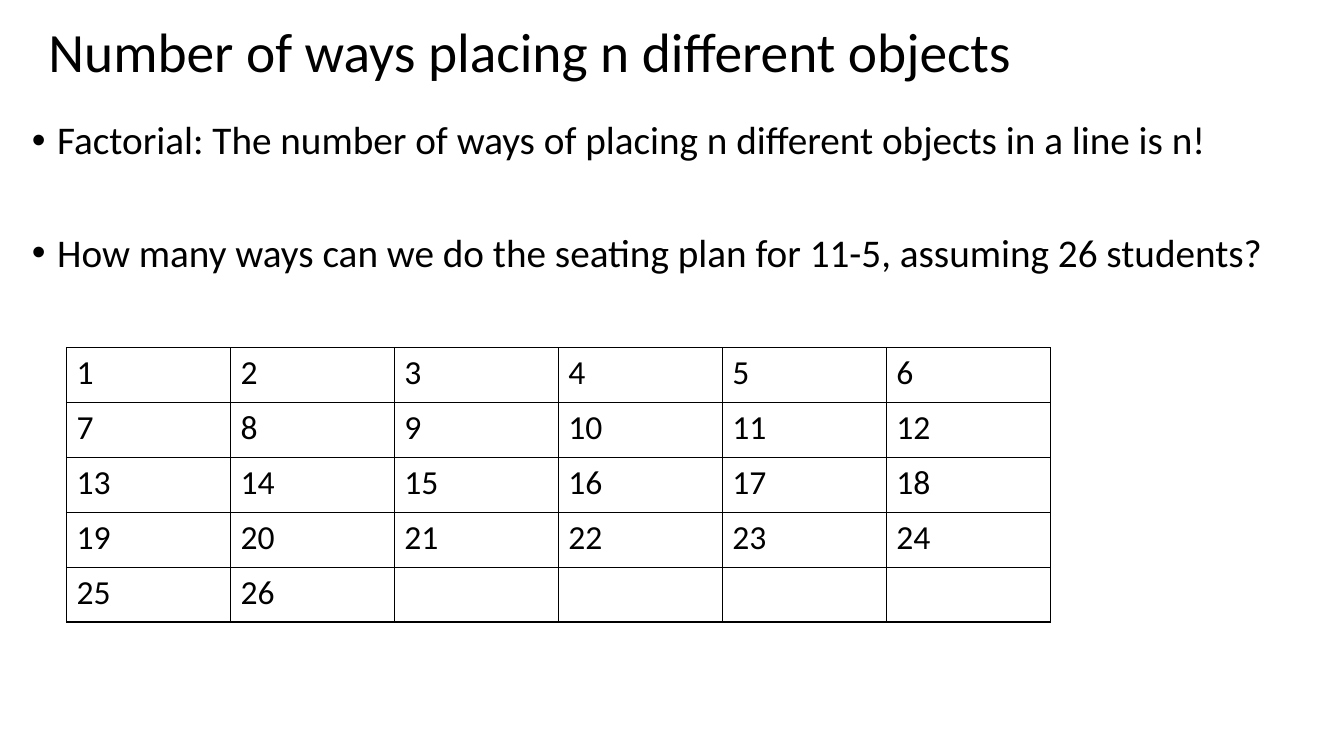
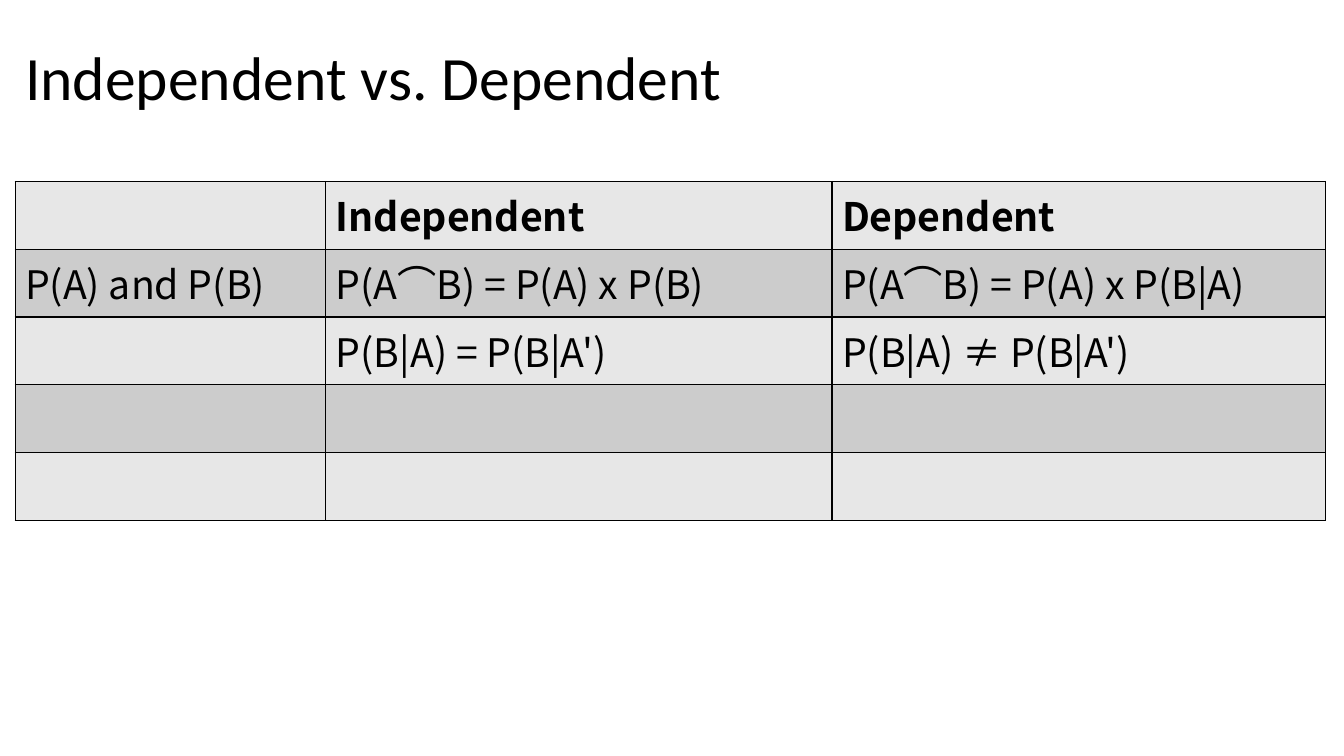
from pptx import Presentation
from pptx.dml.color import RGBColor
from pptx.enum import text
from pptx.oxml import ns, xmlchemy
from pptx.util import Pt

BLACK = RGBColor(0x00, 0x00, 0x00)
LIGHT_GREY = RGBColor(0xE7, 0xE7, 0xE7)
MID_GREY = RGBColor(0xCC, 0xCC, 0xCC)
BODY_FONT = "Calibri"
FORMULA_FONT = "Noto Sans CJK SC"
TITLE_ONLY = 5
LINE_SPACING = 0.9


def add_element(parent, tag, **attributes):
    element = xmlchemy.OxmlElement(tag)
    for name, value in attributes.items():
        element.set(name, str(value))
    parent.append(element)
    return element


def style_paragraph(paragraph, size, font_name=BODY_FONT, bold=False):
    font = paragraph.font
    font.name, font.size, font.bold = font_name, Pt(size), bold
    font.color.rgb = BLACK
    # Symbols such as ⌒ and ≠ take the East Asian font
    defaults = paragraph._p.pPr.find(ns.qn("a:defRPr"))
    add_element(defaults, "a:ea", typeface=font_name)


def add_titled_slide(presentation, title, box, size):
    slide = presentation.slides.add_slide(presentation.slide_layouts[TITLE_ONLY])
    shape = slide.shapes.title
    shape.left, shape.top, shape.width, shape.height = map(Pt, box)
    frame = shape.text_frame
    frame.text = title
    frame.auto_size = text.MSO_AUTO_SIZE.NONE
    frame.vertical_anchor = text.MSO_ANCHOR.MIDDLE
    paragraph = frame.paragraphs[0]
    paragraph.alignment = text.PP_ALIGN.LEFT
    paragraph.line_spacing = LINE_SPACING
    style_paragraph(paragraph, size)
    return slide


def add_bullets(slide, lines, box, size, gap, indent=18):
    frame = slide.shapes.add_textbox(*map(Pt, box)).text_frame
    frame.word_wrap = True
    for index, line in enumerate(lines):
        paragraph = frame.add_paragraph() if index else frame.paragraphs[0]
        paragraph.text = line
        paragraph.line_spacing = LINE_SPACING
        if index:
            paragraph.space_before = Pt(gap)
        properties = paragraph._p.get_or_add_pPr()
        properties.set("marL", str(Pt(indent)))
        properties.set("indent", str(-Pt(indent)))
        add_element(properties, "a:buFont", typeface="Arial")
        add_element(properties, "a:buChar", char="•")
        style_paragraph(paragraph, size)


def add_cell_borders(cell):
    properties = cell._tc.get_or_add_tcPr()
    for side in ("a:lnL", "a:lnR", "a:lnT", "a:lnB"):
        line = add_element(properties, side, w=Pt(1))
        fill = add_element(line, "a:solidFill")
        add_element(fill, "a:srgbClr", val=BLACK)


def add_grid(slide, rows, left, top, column_widths, row_height, size,
             font_name=BODY_FONT, bands=(), bold_header=False):
    """Draw a bordered table; row fills cycle through bands, if any."""
    table = slide.shapes.add_table(
        len(rows), len(column_widths), Pt(left), Pt(top),
        Pt(sum(column_widths)), Pt(row_height * len(rows))).table
    table.first_row = table.horz_banding = False
    for column, width in zip(table.columns, column_widths):
        column.width = Pt(width)
    for row_index, values in enumerate(rows):
        table.rows[row_index].height = Pt(row_height)
        for column_index, value in enumerate(values):
            cell = table.cell(row_index, column_index)
            cell.text = value
            add_cell_borders(cell)
            if bands:
                cell.fill.solid()
                cell.fill.fore_color.rgb = bands[row_index % len(bands)]
            else:
                cell.fill.background()
            style_paragraph(cell.text_frame.paragraphs[0], size, font_name,
                            bold_header and row_index == 0)


def build_factorial_slide(presentation):
    slide = add_titled_slide(
        presentation, "Number of ways placing n different objects",
        (27.4, 23, 860, 32.4), 39.6)
    add_bullets(slide, [
        "Factorial: The number of ways of placing n different objects in a line is n!",
        "How many ways can we do the seating plan for 11-5, assuming 26 students?",
    ], (15.8, 82.8, 928, 342.7), size=28, gap=50)

    # Seating plan: 26 numbered seats, six to a row
    students, row_count, seats_per_row = 26, 5, 6
    seats = [[str(seat) if seat <= students else ""
              for seat in range(row * seats_per_row + 1, (row + 1) * seats_per_row + 1)]
             for row in range(row_count)]
    add_grid(slide, seats, 47.5, 248.4, [117.1] * seats_per_row, 39.2, 24)


def build_comparison_slide(presentation):
    slide = add_titled_slide(presentation, "Independent vs. Dependent",
                             (10.8, 15.1, 828, 85), 44)
    rows = [
        ("", "Independent", "Dependent"),
        ("P(A) and P(B)", "P(A⌒B) = P(A) x P(B)", "P(A⌒B) = P(A) x P(B|A)"),
        ("", "P(B|A) = P(B|A')", "P(B|A) ≠ P(B|A')"),
        ("", "", ""),
        ("", "", ""),
    ]
    add_grid(slide, rows, 10.8, 129.6, (222, 361.5, 352.7), 48.4, 28, FORMULA_FONT,
             bands=(LIGHT_GREY, MID_GREY), bold_header=True)


def main():
    presentation = Presentation()
    presentation.slide_width, presentation.slide_height = Pt(960), Pt(540)
    build_factorial_slide(presentation)
    build_comparison_slide(presentation)
    presentation.save("out.pptx")


if __name__ == "__main__":
    main()
